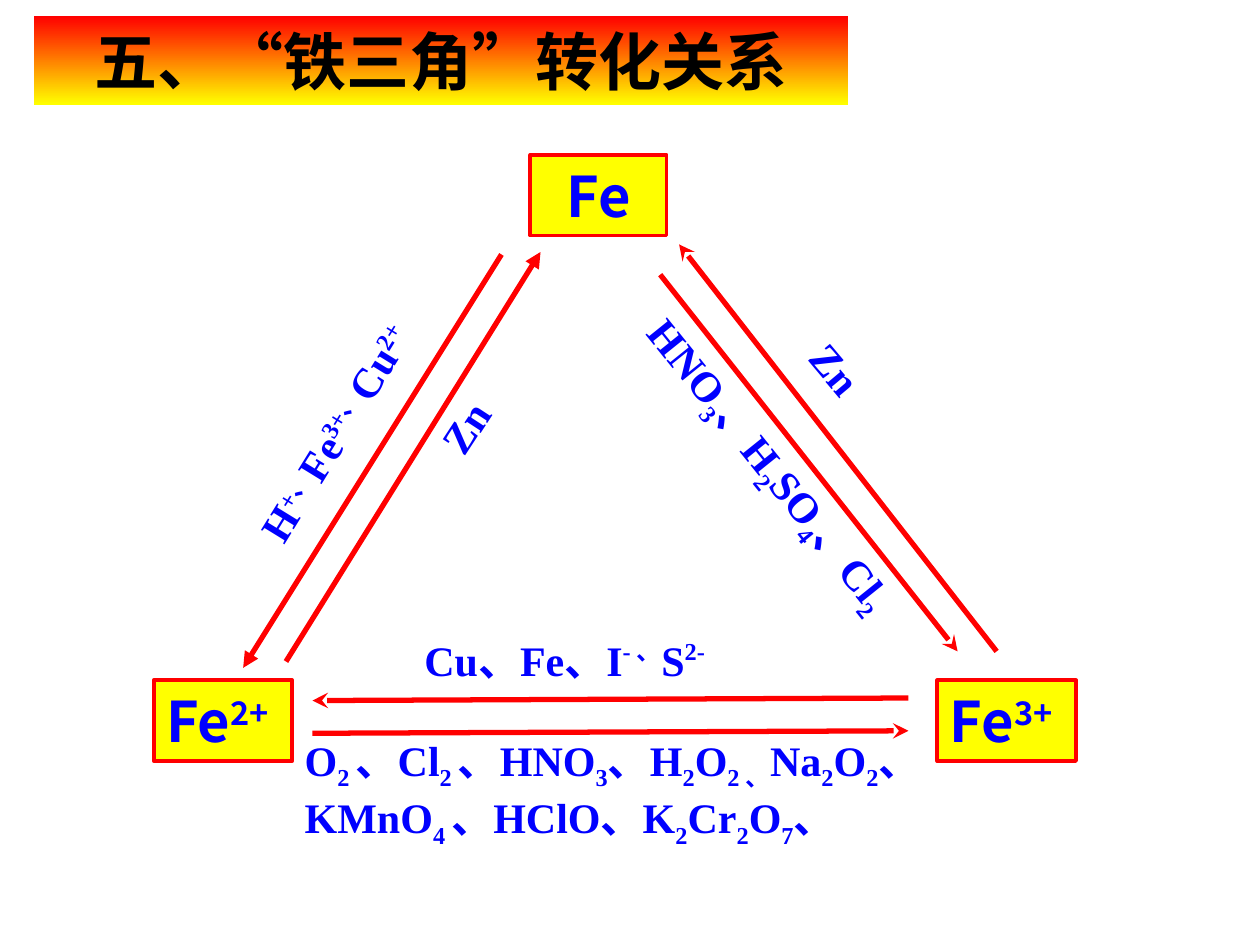
from pptx import Presentation
from pptx.dml.color import RGBColor
from pptx.enum import shapes, text
from pptx.oxml import ns, xmlchemy as xml
from pptx.util import Inches, Pt

RED, YELLOW, BLUE, BLACK = "FF0000", "FFFF00", "0000FF", "000000"
SANS, SERIF = "Noto Sans CJK SC", "Times New Roman"

NODES = [  # left, top, width, formula, alignment
    (2.99, 0, 1.08, "Fe", "CENTER"),
    (6.22, 4.17, 1.1, "Fe|^3+", "LEFT"),
    (0, 4.17, 1.1, "Fe|^2+", "LEFT"),
]
ARROWS = [  # from x, y, to x, y, head
    (1.05, 4.02, 3.07, 0.77, "triangle"),
    (2.76, 0.79, 0.71, 4.07, "triangle"),
    (4.02, 0.95, 6.38, 3.94, "stealth"),
    (1.26, 4.59, 5.99, 4.57, "stealth"),
    (6.69, 3.94, 4.17, 0.71, "stealth"),
    (5.99, 4.31, 1.26, 4.33, "stealth"),
]
LABELS = [  # left, top, width, height, rotation, superscript rise, reagents
    (0.23, 1.71, 2.71, 0.5, 301.6, 30, "H|^+、|Fe|^3+、|Cu|^2+"),
    (2.06, 1.71, 1.08, 0.5, 303.1, 30, "Zn"),
    (1.1, 4.55, 5.31, 1.47, 0, 30,
     "O|_2 |、Cl|_2 |、HNO|_3|、H|_2|O|_2 、|Na|_2|O|_2|、KMnO|_4 |"
     "、HClO、K|_2|Cr|_2|O|_7|、"),
    (3.16, 2.15, 3.15, 1.01, 51.2, 30, "HNO|_3|、H|_2|SO|_4|、Cl|_2"),
    (5.03, 1.63, 1.08, 0.5, 50, 30, "Zn"),
    (2.05, 3.76, 3.84, 0.5, 0, 40, "Cu、Fe、I|^- 、|S|^2-"),
]


def color(code):
    return RGBColor.from_string(code)


def write(shape, words, size, font=SANS, ink=BLUE, align="LEFT", rise=30):
    """Fill the shape with text; parts split by | are raised by ^ or lowered by _."""
    frame = shape.text_frame
    frame.word_wrap = True
    frame.auto_size = text.MSO_AUTO_SIZE.SHAPE_TO_FIT_TEXT
    frame.vertical_anchor = text.MSO_ANCHOR.TOP
    para = frame.paragraphs[0]
    para.alignment = getattr(text.PP_ALIGN, align)
    shifts = {"^": rise, "_": -25}
    for part in words.split("|"):
        shift = shifts.get(part[0], 0)
        run = para.add_run()
        run.text = part[1:] if shift else part
        run.font.size, run.font.bold, run.font.name = Pt(size), True, font
        run.font.color.rgb = color(ink)
        props = run.font._element
        if shift:
            props.set("baseline", str(shift * 1000))
        asian = xml.OxmlElement("a:ea")
        asian.set("typeface", SANS)
        props.find(ns.qn("a:latin")).addnext(asian)


def block(slide, x, y, w, h):
    shape = slide.shapes.add_shape(
        shapes.MSO_SHAPE.RECTANGLE, Inches(x), Inches(y), Inches(w), Inches(h))
    shape.shadow.inherit = False
    return shape


def title(slide, x, y, w, h):
    bar = block(slide, x, y, w, h)
    bar.line.fill.background()
    bar.fill.gradient()
    bar.fill.gradient_angle = 270
    for stop, code, place in zip(bar.fill.gradient_stops, (RED, YELLOW), (0, 1)):
        stop.color.rgb = color(code)
        stop.position = place
    write(bar, "五、“铁三角”转化关系", 36, ink=BLACK, align="CENTER")


def node(slide, x, y, w, words, align):
    box = block(slide, x, y, w, 0.64)
    box.fill.solid()
    box.fill.fore_color.rgb = color(YELLOW)
    box.line.color.rgb = color(RED)
    box.line.width = Pt(2.25)
    write(box, words, 32, align=align)


def arrow(slide, x1, y1, x2, y2, head):
    line = slide.shapes.add_connector(
        shapes.MSO_CONNECTOR.STRAIGHT,
        Inches(x1), Inches(y1), Inches(x2), Inches(y2))
    line.line.color.rgb = color(RED)
    line.line.width = Pt(3)
    end = xml.OxmlElement("a:tailEnd")
    end.set("type", head)
    line.line._get_or_add_ln().append(end)
    line._element.spPr.append(xml.OxmlElement("a:effectLst"))


def label(slide, x, y, w, h, turn, rise, words):
    box = slide.shapes.add_textbox(Inches(x), Inches(y), Inches(w), Inches(h))
    box.rotation = turn
    write(box, words, 24, font=SERIF, rise=rise)


def triangle(slide, x, y):
    """Place the three iron species, their arrows and reagents from corner x, y."""
    for left, top, *rest in NODES:
        node(slide, x + left, y + top, *rest)
    for x1, y1, x2, y2, head in ARROWS:
        arrow(slide, x + x1, y + y1, x + x2, y + y2, head)
    for left, top, *rest in LABELS:
        label(slide, x + left, y + top, *rest)


def main():
    deck = Presentation()
    deck.slide_width, deck.slide_height = Inches(10), Inches(7.5)
    slide = deck.slides.add_slide(deck.slide_layouts[6])
    triangle(slide, 1.22, 1.23)
    title(slide, 0.27, 0.13, 6.46, 0.7)
    deck.save("out.pptx")


if __name__ == "__main__":
    main()
